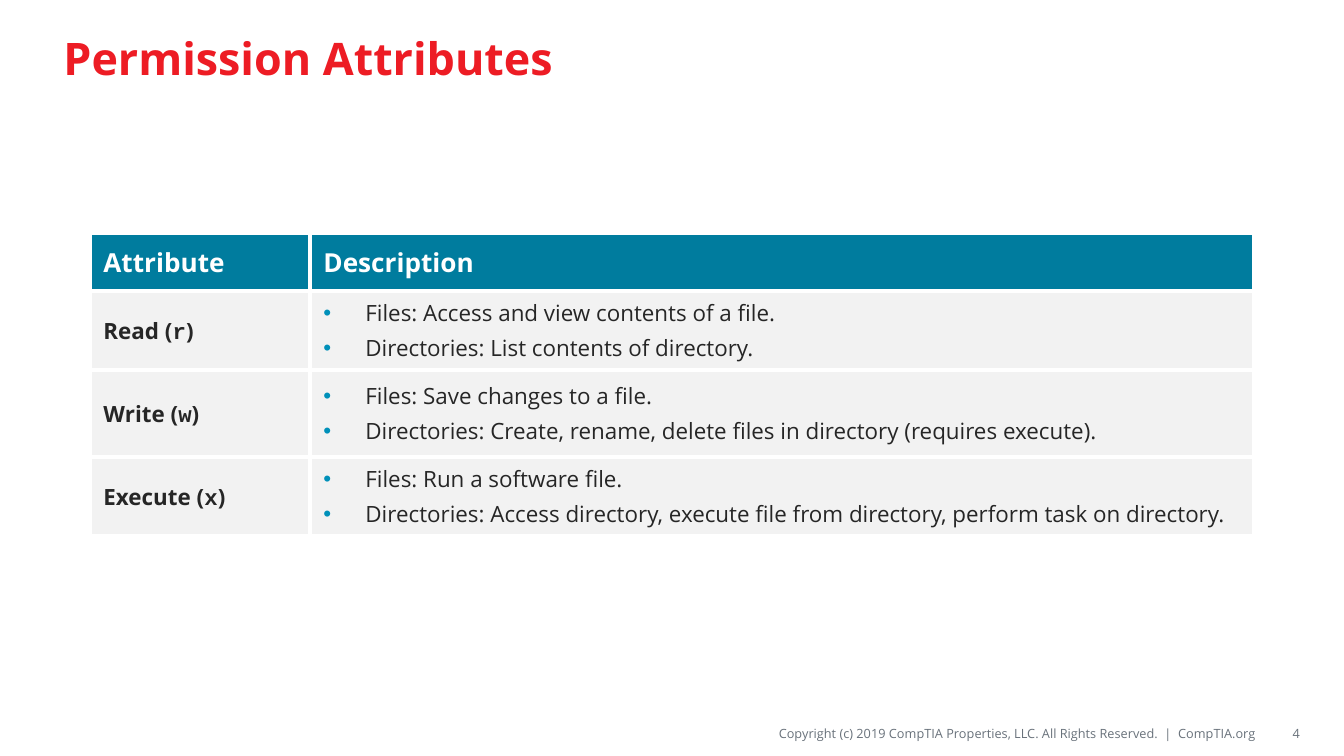
import pptx
import pptx.util
import pptx.dml.color
import pptx.enum.text
import pptx.oxml
import pptx.oxml.ns

PX = 914400 / 134.4
THEME = {
    "font": "Open Sans", "mono": "Courier New",
    "title": "ED1C24", "header": "007C9E", "bullet": "0090B9",
    "row": "F2F2F2", "text": "262626", "white": "FFFFFF", "footer": "69727B",
    "title_pt": 24, "header_pt": 14, "body_pt": 12, "footer_pt": 6.8,
}
ALIGN = pptx.enum.text.PP_ALIGN
MIDDLE = pptx.enum.text.MSO_ANCHOR.MIDDLE
NS = pptx.oxml.ns.nsdecls("a")


def px(n):
    return pptx.util.Emu(round(n * PX))


def add_run(p, text, size, color, bold=False, font="font"):
    r = p.add_run()
    r.text = text
    r.font.name = THEME[font]
    r.font.size = pptx.util.Pt(THEME[size])
    r.font.bold = bold
    r.font.color.rgb = pptx.dml.color.RGBColor.from_string(THEME[color])


prs = pptx.Presentation()
prs.slide_width, prs.slide_height = px(1344), px(756)
s = prs.slides.add_slide(prs.slide_layouts[5])

# Title
title = s.shapes.title
title.left, title.top, title.width, title.height = px(50), px(11), px(1243), px(93)
tf = title.text_frame
tf.vertical_anchor = MIDDLE
tf.auto_size = pptx.enum.text.MSO_AUTO_SIZE.NONE
p = tf.paragraphs[0]
p.alignment = ALIGN.LEFT
add_run(p, "Permission Attributes", "title_pt", "title", True)

# Footer and slide number
footers = [
    (521, 735, "Copyright (c) 2019 CompTIA Properties, LLC. All Rights Reserved.  |  CompTIA.org"),
    (1261, 39, "4"),
]
for left, width, text in footers:
    sp = s.shapes.add_textbox(px(left), px(718), px(width), px(30))
    tf = sp.text_frame
    tf.word_wrap = True
    tf.vertical_anchor = MIDDLE
    tf.margin_left = tf.margin_right = 0
    tf.margin_top = tf.margin_bottom = px(5)
    p = tf.paragraphs[0]
    p.alignment = ALIGN.RIGHT
    add_run(p, text, "footer_pt", "footer")

# Table grid
attributes = [
    ("Read", "r", ["Files: Access and view contents of a file.",
                   "Directories: List contents of directory."]),
    ("Write", "w", ["Files: Save changes to a file.",
                    "Directories: Create, rename, delete files in directory (requires execute)."]),
    ("Execute", "x", ["Files: Run a software file.",
                      "Directories: Access directory, execute file from directory, perform task on directory."]),
]
col_widths = [220, 944]
row_heights = [58, 79, 87, 79]
table = s.shapes.add_table(len(row_heights), len(col_widths), px(90), px(233),
                           px(sum(col_widths)), px(sum(row_heights))).table
table.horz_banding = False
for column, width in zip(table.columns, col_widths):
    column.width = px(width)
for row, height in zip(table.rows, row_heights):
    row.height = px(height)

# Cell fills and white borders
for i, row in enumerate(table.rows):
    for cell in row.cells:
        cell.vertical_anchor = MIDDLE
        tc_pr = cell._tc.get_or_add_tcPr()
        for side in ("lnL", "lnR", "lnT", "lnB"):
            tc_pr.append(pptx.oxml.parse_xml(
                f'<a:{side} {NS} w="{pptx.util.Pt(2.25)}"><a:solidFill>'
                f'<a:srgbClr val="{THEME["white"]}"/></a:solidFill></a:{side}>'))
        cell.fill.solid()
        cell.fill.fore_color.rgb = pptx.dml.color.RGBColor.from_string(
            THEME["row" if i else "header"])

# Header text
for cell, text in zip(table.rows[0].cells, ["Attribute", "Description"]):
    add_run(cell.text_frame.paragraphs[0], text, "header_pt", "white", True)

# Attribute names and bulleted descriptions
for i, (name, letter, lines) in enumerate(attributes, start=1):
    p = table.cell(i, 0).text_frame.paragraphs[0]
    add_run(p, f"{name} (", "body_pt", "text", True)
    add_run(p, letter, "body_pt", "text", True, "mono")
    add_run(p, ")", "body_pt", "text", True)

    tf = table.cell(i, 1).text_frame
    for j, line in enumerate(lines):
        p = tf.add_paragraph() if j else tf.paragraphs[0]
        p_pr = p._p.get_or_add_pPr()
        p_pr.set("marL", str(px(42)))
        p_pr.set("indent", str(-px(42)))
        for xml in (f'<a:buClr {NS}><a:srgbClr val="{THEME["bullet"]}"/></a:buClr>',
                    f'<a:buFont {NS} typeface="Arial"/>',
                    f'<a:buChar {NS} char="•"/>'):
            p_pr.append(pptx.oxml.parse_xml(xml))
        if j:
            p.space_before = pptx.util.Pt(2.4)
        add_run(p, line, "body_pt", "text")

prs.save("out.pptx")
